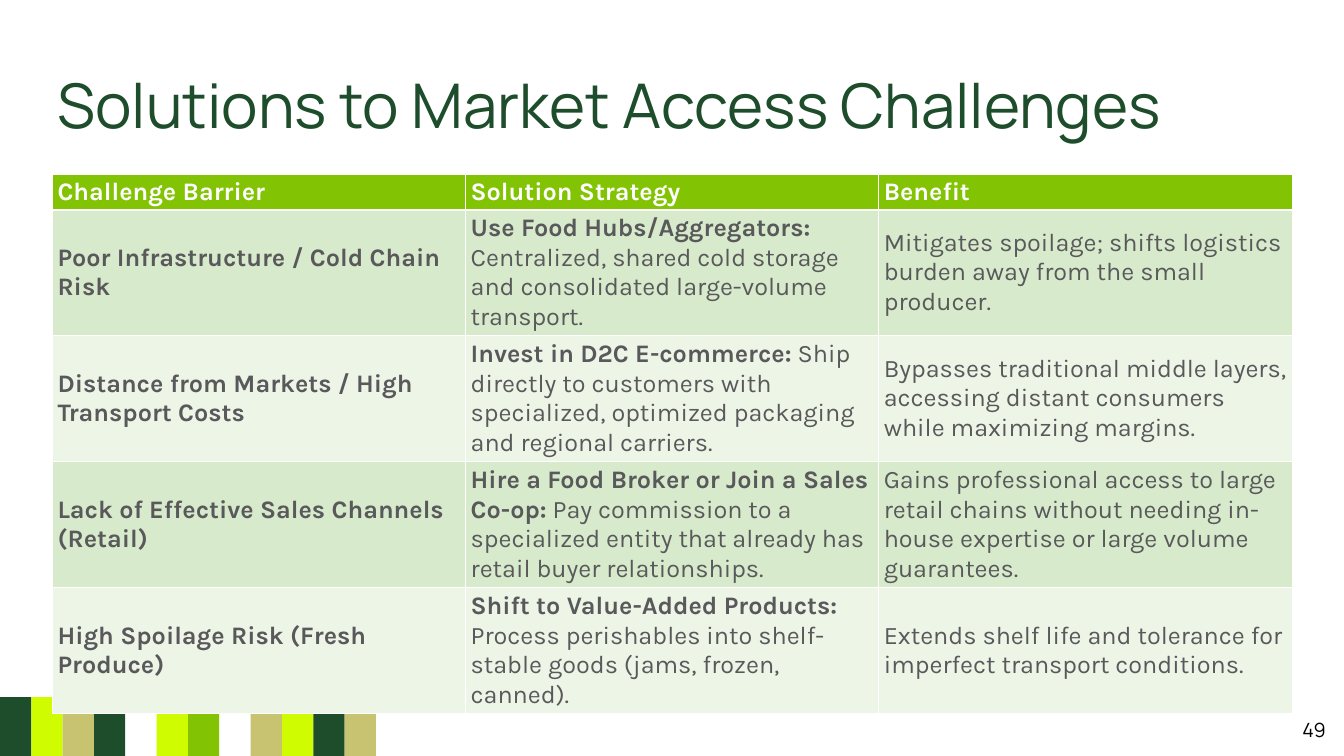
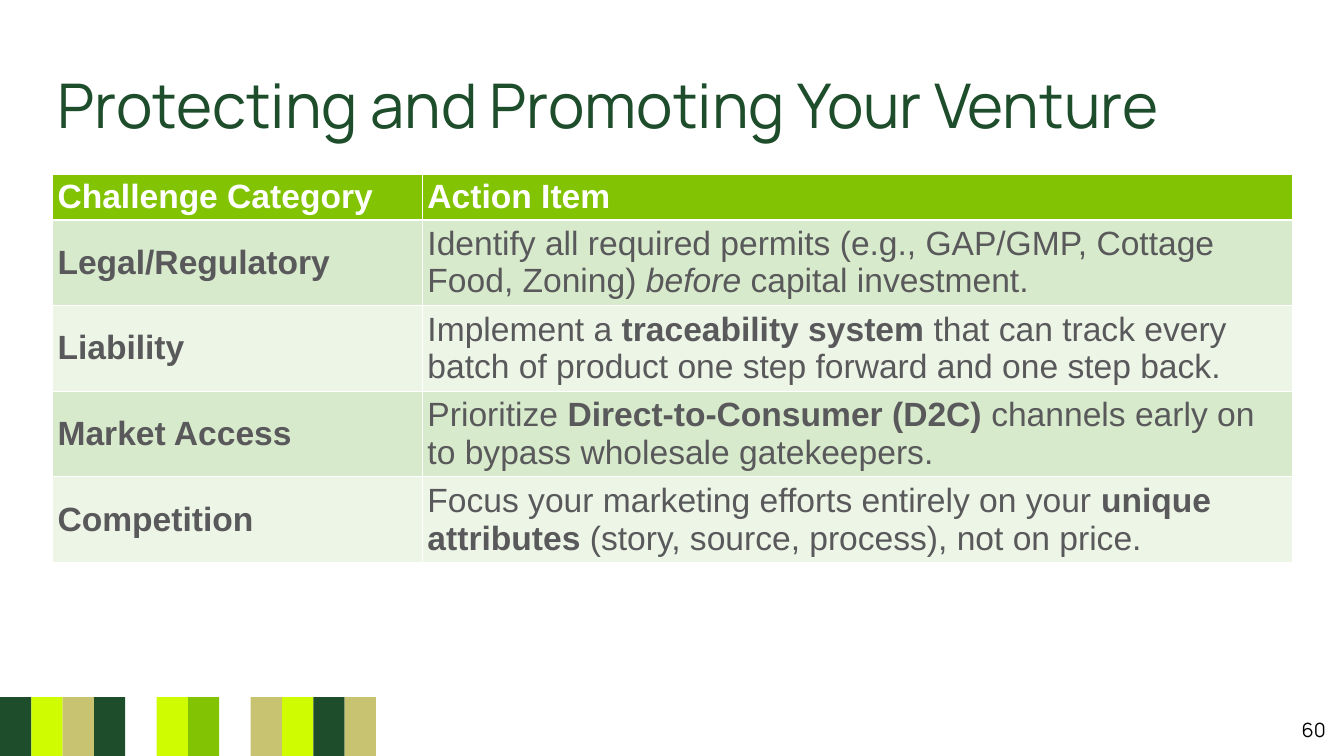
from lxml.etree import SubElement
from pptx import Presentation
from pptx.dml.color import RGBColor
from pptx.enum.shapes import MSO_SHAPE as Shape
from pptx.enum.text import MSO_ANCHOR as Anchor, MSO_AUTO_SIZE as AutoSize, PP_ALIGN as Align
from pptx.oxml.ns import qn
from pptx.util import Pt

FOREST, LIME, SAND, GREEN, WHITE = "1E4D2B", "CFFC00", "C8C371", "82C403", "FFFFFF"
GREY, BLACK = "59595B", "000000"
ROW_FILLS = ["D8EACC", "EDF5E7"]
STRIPES = [FOREST, LIME, SAND, FOREST, WHITE, LIME, GREEN, WHITE, SAND, LIME, FOREST, SAND, WHITE]
PAGE_SIZE = (1920, 1080)
TITLE_BOX = (75, 88, 1770, 121)
STRIPE_BOX = (0, 996, 582, 84)
NUMBER_BOX = (1828, 1025, 73, 35)
TABLE_LEFT, TABLE_TOP, ROW_HEIGHT = 75, 249, 29.5

SOLUTIONS = {
    "title": "Solutions to Market Access Challenges",
    "number": "49",
    "font": {"name": "Karla", "size": Pt(36)},
    "columns": [590.2, 590.2, 590.2],
    "height": 684,
    "header": ["Challenge Barrier", "Solution Strategy", "Benefit"],
    "rows": [
        ["**Poor Infrastructure / Cold Chain Risk",
         "**Use Food Hubs/Aggregators:** Centralized, shared cold storage and consolidated "
         "large-volume transport.",
         "Mitigates spoilage; shifts logistics burden away from the small producer."],
        ["**Distance from Markets / High Transport Costs",
         "**Invest in D2C E-commerce:** Ship directly to customers with specialized, optimized "
         "packaging and regional carriers.",
         "Bypasses traditional middle layers, accessing distant consumers while maximizing margins."],
        ["**Lack of Effective Sales Channels (Retail)",
         "**Hire a Food Broker or Join a Sales Co-op:** Pay commission to a specialized entity "
         "that already has retail buyer relationships.",
         "Gains professional access to large retail chains without needing in-house expertise "
         "or large volume guarantees."],
        ["**High Spoilage Risk (Fresh Produce)",
         "**Shift to Value-Added Products:** Process perishables into shelf-stable goods "
         "(jams, frozen, canned).",
         "Extends shelf life and tolerance for imperfect transport conditions."],
    ],
}
VENTURE = {
    "title": "Protecting and Promoting Your Venture",
    "number": "60",
    "font": {"name": "Arial", "size": Pt(48)},
    "columns": [528.5, 1242],
    "height": 554.4,
    "header": ["Challenge Category", "Action Item"],
    "rows": [
        ["**Legal/Regulatory",
         "Identify all required permits (e.g., GAP/GMP, Cottage Food, Zoning) "
         "__before__ capital investment."],
        ["**Liability",
         "Implement a **traceability system** that can track every batch of product "
         "one step forward and one step back."],
        ["**Market Access",
         "Prioritize **Direct-to-Consumer (D2C)** channels early on to bypass wholesale gatekeepers."],
        ["**Competition",
         "Focus your marketing efforts entirely on your **unique attributes** "
         "(story, source, process), not on price."],
    ],
}


def color(hex_text):
    """Turn a hex string into a colour."""
    return RGBColor.from_string(hex_text)


def set_all(target, values):
    """Set each attribute in values on the target."""
    for name, value in values.items():
        setattr(target, name, value)


def place(shape, box):
    """Move and size a shape to a box in points."""
    set_all(shape, dict(zip(("left", "top", "width", "height"), map(Pt, box))))


def add_span(para, text, hex_text, font):
    """Add one formatted run to a paragraph."""
    span = para.add_run()
    span.text = text
    set_all(span.font, font)
    span.font.color.rgb = color(hex_text)


def add_marked_text(para, text, hex_text, font):
    """Add runs, with ** around bold text and __ around italic text."""
    for i, strong in enumerate(text.split("**")):
        for j, part in enumerate(strong.split("__")):
            if part:
                style = {"bold": i % 2 == 1, "italic": j % 2 == 1}
                add_span(para, part, hex_text, {**font, **style})


def add_borders(cell, bottom):
    """Give a cell white borders, with its own bottom width in points."""
    properties = cell._tc.get_or_add_tcPr()
    for index, (side, width) in enumerate((("L", 1), ("R", 1), ("T", 1), ("B", bottom))):
        line = properties.makeelement(qn(f"a:ln{side}"), {"w": str(Pt(width))})
        SubElement(SubElement(line, qn("a:solidFill")), qn("a:srgbClr"), val=WHITE)
        properties.insert(index, line)


def add_stripes(page, box):
    """Fill a box with equal upright colour stripes."""
    left, top, width, height = box
    step = width / len(STRIPES)
    for index, fill in enumerate(STRIPES):
        stripe = page.shapes.add_shape(Shape.RECTANGLE, 0, 0, 0, 0)
        place(stripe, (left + index * step, top, step, height))
        stripe.shadow.inherit = False
        stripe.fill.solid()
        stripe.fill.fore_color.rgb = color(fill)
        stripe.line.fill.background()


def add_title(page, text, box):
    """Place and format the title placeholder."""
    title = page.shapes.title
    place(title, box)
    frame = title.text_frame
    margins = {f"margin_{side}": Pt(7.2) for side in ("left", "top", "right", "bottom")}
    set_all(frame, {"word_wrap": True, "vertical_anchor": Anchor.MIDDLE,
                    "auto_size": AutoSize.SHAPE_TO_FIT_TEXT, **margins})
    para = frame.paragraphs[0]
    para.alignment = Align.LEFT
    add_span(para, text, FOREST, {"name": "Manrope", "size": Pt(88)})


def add_number(page, text, box):
    """Add the page number at the right of a box."""
    number = page.shapes.add_textbox(*map(Pt, box))
    set_all(number.text_frame, {"word_wrap": True, "vertical_anchor": Anchor.MIDDLE})
    para = number.text_frame.paragraphs[0]
    para.alignment = Align.RIGHT
    add_span(para, text, BLACK, {"name": "Manrope", "size": Pt(28)})


def add_challenge_table(page, content, left, top):
    """Add a table with a green header and two alternating row fills."""
    columns = content["columns"]
    rows = [[f"**{label}" for label in content["header"]], *content["rows"]]
    box = (left, top, sum(columns), content["height"])
    holder = page.shapes.add_table(len(rows), len(columns), *map(Pt, box))
    table = holder.table
    for column, width in zip(table.columns, columns):
        column.width = Pt(width)
    for index, texts in enumerate(rows):
        table.rows[index].height = Pt(ROW_HEIGHT)
        fill = ROW_FILLS[(index - 1) % 2] if index else GREEN
        for cell, text in zip(table.rows[index].cells, texts):
            cell.vertical_anchor = Anchor.MIDDLE
            cell.fill.solid()
            cell.fill.fore_color.rgb = color(fill)
            add_borders(cell, 1 if index else 3)
            add_marked_text(cell.text_frame.paragraphs[0], text,
                            GREY if index else WHITE, content["font"])
    place(holder, box)


def add_table_page(deck, content):
    """Add a page with stripes, title, table and number."""
    page = deck.slides.add_slide(deck.slide_layouts[5])
    add_stripes(page, STRIPE_BOX)
    add_title(page, content["title"], TITLE_BOX)
    add_challenge_table(page, content, TABLE_LEFT, TABLE_TOP)
    add_number(page, content["number"], NUMBER_BOX)


def main():
    """Build and save the deck."""
    deck = Presentation()
    deck.slide_width, deck.slide_height = map(Pt, PAGE_SIZE)
    for content in (SOLUTIONS, VENTURE):
        add_table_page(deck, content)
    deck.save("out.pptx")


if __name__ == "__main__":
    main()
